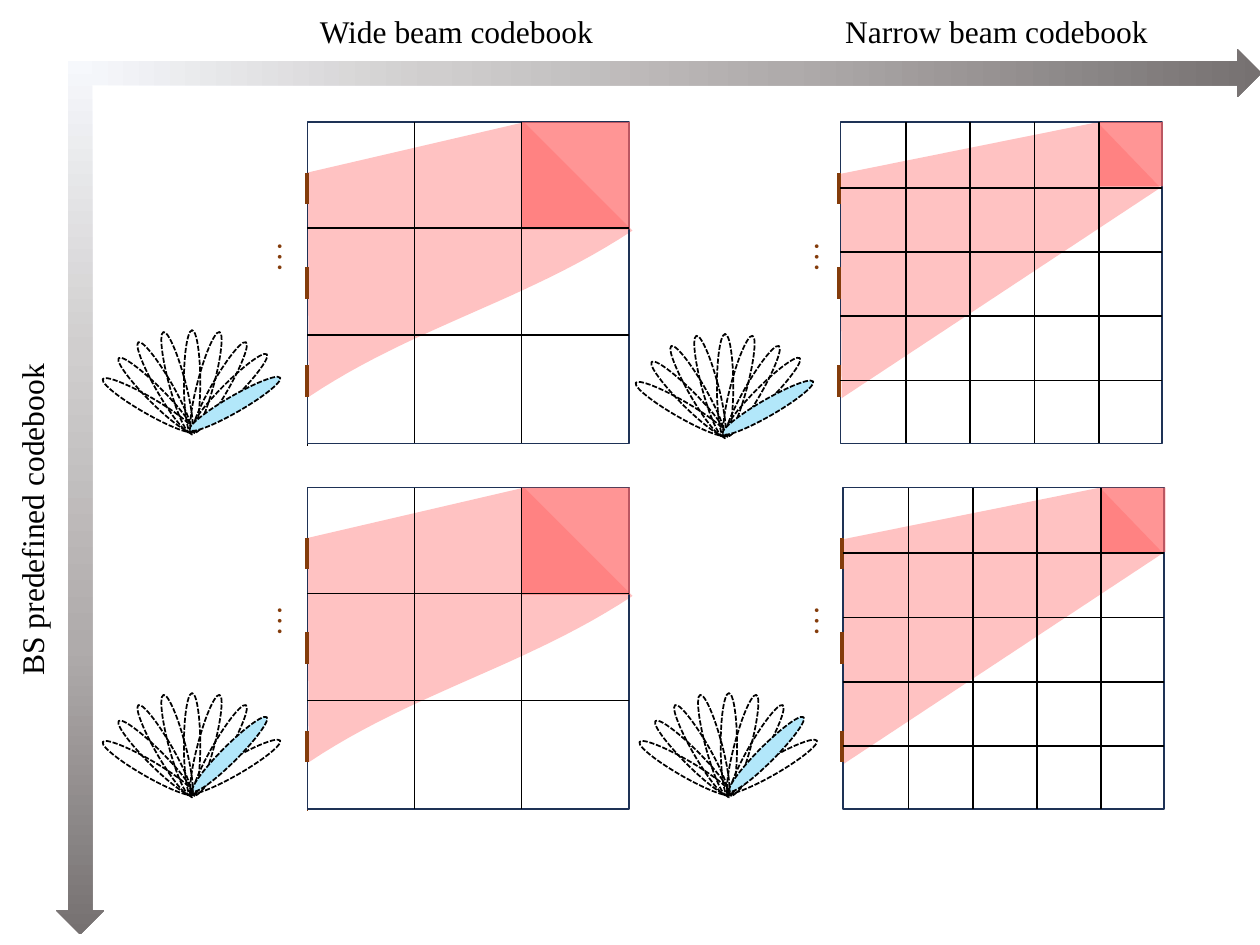
from dataclasses import dataclass

from lxml import etree
from pptx import Presentation
from pptx.dml.color import RGBColor
from pptx.enum.dml import MSO_LINE
from pptx.enum.shapes import MSO_CONNECTOR, MSO_SHAPE
from pptx.enum.text import MSO_AUTO_SIZE
from pptx.oxml.ns import qn
from pptx.util import Inches, Pt

RECT = MSO_SHAPE.RECTANGLE
OVAL = MSO_SHAPE.OVAL
ARROW = MSO_SHAPE.RIGHT_ARROW
STRAIGHT = MSO_CONNECTOR.STRAIGHT
DASH = MSO_LINE.SQUARE_DOT
FIT = MSO_AUTO_SIZE.SHAPE_TO_FIT_TEXT

Point = tuple[float, float]


@dataclass(frozen=True)
class Theme:
    font: str = "Times New Roman"
    size: float = 18
    thin: float = 1
    thick: float = 2.25
    ink: str = "000000"
    brown: str = "843C0B"
    navy: str = "1E3256"
    red: str = "FF6868"
    sky: str = "B2E7FA"
    ramp: tuple[str, ...] = ("F6F8FC", "D0CECE", "AFABAB", "767171")


@dataclass(frozen=True)
class Grid:
    cols: tuple[float, ...]
    rows: tuple[float, ...]
    beam: tuple[Point, ...]
    tile: Point
    shift: float


@dataclass(frozen=True)
class Panel:
    left: float
    top: float
    grid: Grid


@dataclass(frozen=True)
class Fan:
    left: float
    top: float
    lit: int


@dataclass(frozen=True)
class Petal:
    angle: int
    dx: float
    dy: float


@dataclass(frozen=True)
class Label:
    text: str
    left: float
    top: float
    width: float
    height: float
    color: str
    turn: int = 0
    upright: bool = False


@dataclass(frozen=True)
class Axis:
    left: float
    top: float
    width: float
    turn: int
    stops: tuple[int, ...]


def curve(a: Point, b: Point, c: Point, d: Point, steps: int = 24) -> tuple[Point, ...]:
    def mix(t: float, i: int) -> float:
        u = 1 - t
        return u**3 * a[i] + 3 * u * u * t * b[i] + 3 * u * t * t * c[i] + t**3 * d[i]

    return tuple((mix(n / steps, 0), mix(n / steps, 1)) for n in range(steps + 1))


THEME = Theme()
SIDE = 2.55
WIDE = Grid(
    cols=(0.85, 1.7),
    rows=(0.84, 1.69),
    beam=((1.72, 0), *curve((2.58, 0.86), (1.73, 1.42), (0.85, 1.62), (0.01, 2.18)), (0, 0.4)),
    tile=(0.86, 0.85),
    shift=0,
)
STEPS = tuple(0.52 + 0.51 * n for n in range(4))
NARROW = Grid(
    cols=STEPS,
    rows=STEPS,
    beam=((2.04, 0), (2.54, 0.52), (0.01, 2.19), (0, 0.41)),
    tile=(0.51, 0.51),
    shift=-0.01,
)
PANELS = (
    Panel(2.44, 0.97, WIDE),
    Panel(6.67, 0.97, NARROW),
    Panel(2.44, 3.87, WIDE),
    Panel(6.69, 3.87, NARROW),
)
MARKS = (0.4, 1.15, 1.93)
PETALS = (
    Petal(300, 0.22, 0.04),
    Petal(270, 0, 0),
    Petal(240, -0.22, 0.04),
    Petal(315, 0.3, 0.07),
    Petal(285, 0.11, 0),
    Petal(255, -0.12, 0),
    Petal(225, -0.29, 0.1),
    Petal(210, -0.35, 0.18),
    Petal(330, 0.34, 0.17),
)
FANS = (Fan(1.11, 2.97, 330), Fan(5.34, 3, 330), Fan(1.11, 5.85, 315), Fan(5.37, 5.85, 315))
AXES = (Axis(0.61, 0.39, 9.4, 0, (0, 30, 60, 100)), Axis(-2.83, 3.76, 6.93, 90, (0, 33, 67, 100)))
LABELS = (
    *(
        Label("…", x, y, 0.5, 0.34, THEME.brown, upright=True)
        for x in (2.01, 6.27)
        for y in (1.82, 4.71)
    ),
    Label("Wide beam codebook", 2.44, 0.05, 2.76, 0.4, THEME.ink),
    Label("Narrow beam codebook", 6.61, 0.05, 2.98, 0.4, THEME.ink),
    Label("BS predefined codebook", 0.05, 2.44, 0.5, 3.02, THEME.ink, 180, True),
)


def paint(shape, fill: str = "", edge: str = "", alpha: int = 100) -> None:
    shape.shadow.inherit = False
    if fill:
        shape.fill.solid()
        shape.fill.fore_color.rgb = RGBColor.from_string(fill)
        if alpha < 100:
            tint = shape._element.spPr.find(qn("a:solidFill"))[0]
            etree.SubElement(tint, qn("a:alpha"), val=str(alpha * 1000))
    else:
        shape.fill.background()
    if edge:
        shape.line.color.rgb = RGBColor.from_string(edge)
        shape.line.width = Pt(THEME.thin)
    else:
        shape.line.fill.background()


def add_box(slide, kind, left: float, top: float, width: float, height: float):
    return slide.shapes.add_shape(kind, Inches(left), Inches(top), Inches(width), Inches(height))


def add_line(slide, start: Point, end: Point, color: str, weight: float) -> None:
    line = slide.shapes.add_connector(STRAIGHT, *(Inches(v) for v in (*start, *end)))
    line.line.color.rgb = RGBColor.from_string(color)
    line.line.width = Pt(weight)
    etree.SubElement(line._element.spPr, qn("a:effectLst"))


def add_panel(slide, panel: Panel) -> None:
    x, y, grid = panel.left, panel.top, panel.grid
    first, *rest = [(Inches(x + dx), Inches(y + dy)) for dx, dy in grid.beam]
    path = slide.shapes.build_freeform(*first)
    path.add_line_segments(rest, close=True)
    paint(path.convert_to_shape(), THEME.red, alpha=40)
    paint(add_box(slide, RECT, x, y, SIDE, SIDE), edge=THEME.navy)
    for mark in MARKS:
        spot = x + grid.shift
        add_line(slide, (spot, y + mark), (spot, y + mark + 0.25), THEME.brown, THEME.thick)
    wide, high = grid.tile
    paint(add_box(slide, RECT, x + grid.cols[-1], y, wide, high), THEME.red, alpha=70)
    for col in grid.cols:
        add_line(slide, (x + col, y), (x + col, y + SIDE), THEME.ink, THEME.thin)
    for row in grid.rows:
        add_line(slide, (x, y + row), (x + SIDE, y + row), THEME.ink, THEME.thin)


def add_fan(slide, fan: Fan) -> None:
    for petal in sorted(PETALS, key=lambda item: item.angle == fan.lit):
        oval = add_box(slide, OVAL, fan.left + petal.dx, fan.top + petal.dy, 0.83, 0.13)
        oval.rotation = petal.angle
        paint(oval, THEME.sky if petal.angle == fan.lit else "", THEME.ink)
        oval.line.dash_style = DASH


def add_axis(slide, axis: Axis) -> None:
    arrow = add_box(slide, ARROW, axis.left, axis.top, axis.width, 0.38)
    arrow.rotation = axis.turn
    paint(arrow)
    arrow.fill.gradient()
    arrow.fill.gradient_angle = 0
    stops = arrow._element.spPr.find(qn("a:gradFill")).find(qn("a:gsLst"))
    for stop in list(stops):
        stops.remove(stop)
    for place, color in zip(axis.stops, THEME.ramp):
        stop = etree.SubElement(stops, qn("a:gs"), pos=str(place * 1000))
        etree.SubElement(stop, qn("a:srgbClr"), val=color)


def add_label(slide, label: Label) -> None:
    spot = (label.left, label.top, label.width, label.height)
    box = slide.shapes.add_textbox(*(Inches(v) for v in spot))
    box.rotation = label.turn
    frame = box.text_frame
    frame.word_wrap = True
    frame.auto_size = FIT
    if label.upright:
        frame._txBody.bodyPr.set("vert", "eaVert")
    run = frame.paragraphs[0].add_run()
    run.text = label.text
    run.font.name = THEME.font
    run.font.size = Pt(THEME.size)
    run.font.color.rgb = RGBColor.from_string(label.color)


def main() -> None:
    """Build the beam codebook slide."""
    deck = Presentation()
    deck.slide_width, deck.slide_height = Inches(10), Inches(7.5)
    slide = deck.slides.add_slide(deck.slide_layouts[6])
    for top, color in ((0.99, THEME.ink), (3.89, THEME.brown)):
        add_line(slide, (2.44, top), (2.44, top + SIDE), color, THEME.thin)
    for fan in FANS:
        add_fan(slide, fan)
    for panel in PANELS:
        add_panel(slide, panel)
    for axis in AXES:
        add_axis(slide, axis)
    for label in LABELS:
        add_label(slide, label)
    deck.save("out.pptx")


if __name__ == "__main__":
    main()
